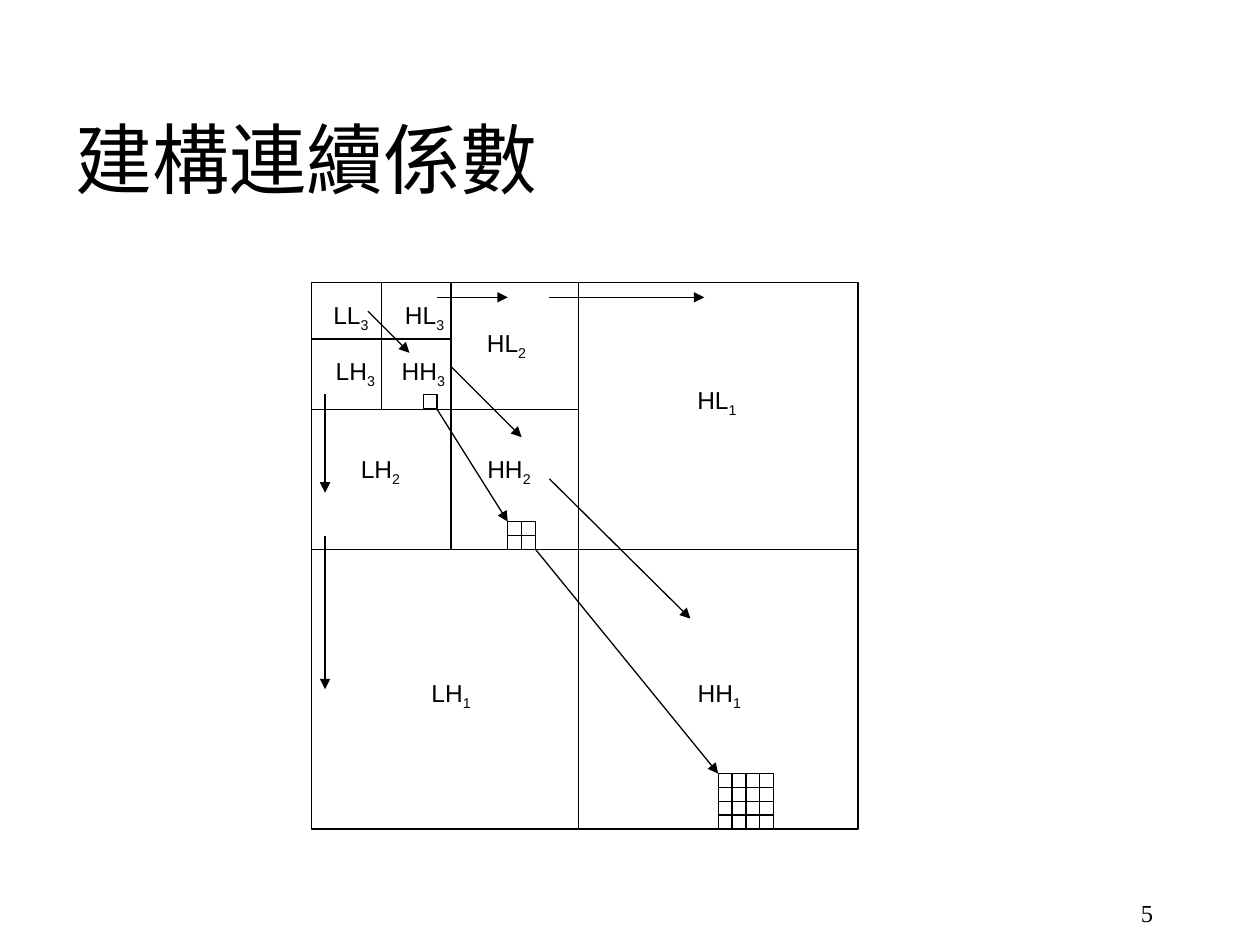
from pptx import Presentation
from pptx.dml.color import RGBColor
from pptx.enum.shapes import MSO_CONNECTOR, MSO_SHAPE
from pptx.enum.text import MSO_ANCHOR, MSO_AUTO_SIZE, PP_ALIGN
from pptx.oxml.ns import qn
from pptx.util import Inches, Pt
from lxml.etree import SubElement

BLACK, WHITE = "000000", "FFFFFF"
LINE_WIDTH = 0.75

# Wavelet square: outer edges and the split of each level
LEFT, TOP, SIZE = 2.47, 2.24, 4.34
# (vertical split x, horizontal split y, right edge, bottom edge)
LEVELS = [
    (4.59, 4.36, LEFT + SIZE, TOP + SIZE),
    (3.58, 3.25, 4.59, 4.36),
    (3.03, 2.69, 3.58, 3.25),
]

# Subband name, level, left, top
SUBBANDS = [
    ("LL", 3, 2.64, 2.38), ("HL", 3, 3.21, 2.38),
    ("LH", 3, 2.66, 2.82), ("HH", 3, 3.18, 2.82),
    ("HL", 2, 3.86, 2.6), ("LH", 2, 2.86, 3.6), ("HH", 2, 3.86, 3.6),
    ("HL", 1, 5.53, 3.05), ("LH", 1, 3.42, 5.38), ("HH", 1, 5.53, 5.38),
]
# Wide enough to keep each subscript on the line of its letters
LABEL_WIDTHS = {"LL": 0.29, "HL": 0.32, "LH": 0.32, "HH": 0.36}

# Coefficient blocks: left, top, cells per side
CELL = 0.11
BLOCKS = [(3.36, 3.13, 1), (4.03, 4.14, 2), (5.7, 6.14, 4)]

# Parent-to-child arrows: from x, from y, to x, to y
ARROWS = [
    (2.92, 2.47, 3.25, 2.8), (3.58, 2.91, 4.14, 3.47), (4.36, 3.8, 5.48, 4.91),
    (3.47, 3.25, 4.03, 4.14), (4.25, 4.36, 5.7, 6.14),
    (2.58, 3.13, 2.58, 3.91), (2.58, 4.25, 2.58, 5.47),
    (3.47, 2.36, 4.03, 2.36), (4.36, 2.36, 5.59, 2.36),
]


def color(hex_string):
    return RGBColor.from_string(hex_string)


def style_font(paragraph, size, name="Arial"):
    paragraph.font.size = Pt(size)
    paragraph.font.name = name
    paragraph.font.color.rgb = color(BLACK)


def add_text(slide, text, left, top, width, height, size, name="Arial",
             align=PP_ALIGN.LEFT, anchor=MSO_ANCHOR.TOP):
    box = slide.shapes.add_textbox(Inches(left), Inches(top), Inches(width), Inches(height))
    frame = box.text_frame
    frame.word_wrap = True
    frame.vertical_anchor = anchor
    paragraph = frame.paragraphs[0]
    paragraph.text = text
    paragraph.alignment = align
    style_font(paragraph, size, name)
    return frame


def add_subband_label(slide, band, level, left, top):
    frame = add_text(slide, band, left, top, LABEL_WIDTHS[band], 0.27, 14,
                     align=PP_ALIGN.CENTER, anchor=MSO_ANCHOR.MIDDLE)
    frame.margin_left = frame.margin_right = frame.margin_top = frame.margin_bottom = 0
    frame.word_wrap = False
    frame.auto_size = MSO_AUTO_SIZE.SHAPE_TO_FIT_TEXT
    subscript = frame.paragraphs[0].add_run()
    subscript.text = str(level)
    subscript.font._element.set("baseline", "-25000")


def add_square(slide, left, top, side, fill=None):
    square = slide.shapes.add_shape(MSO_SHAPE.RECTANGLE, Inches(left), Inches(top),
                                    Inches(side), Inches(side))
    square.shadow.inherit = False
    if fill:
        square.fill.solid()
        square.fill.fore_color.rgb = color(fill)
    else:
        square.fill.background()
    square.line.color.rgb = color(BLACK)
    square.line.width = Pt(LINE_WIDTH)


def add_line(slide, x1, y1, x2, y2, arrow=False):
    line = slide.shapes.add_connector(MSO_CONNECTOR.STRAIGHT, Inches(x1), Inches(y1),
                                      Inches(x2), Inches(y2))
    line.line.color.rgb = color(BLACK)
    line.line.width = Pt(LINE_WIDTH)
    if arrow:
        SubElement(line.line._get_or_add_ln(), qn("a:tailEnd"), type="triangle")
    SubElement(line._element.spPr, qn("a:effectLst"))


def add_block(slide, left, top, count):
    for row in range(count):
        for column in range(count):
            add_square(slide, left + column * CELL, top + row * CELL, CELL)


def main():
    presentation = Presentation()
    presentation.slide_width, presentation.slide_height = Inches(10), Inches(7.5)
    slide = presentation.slides.add_slide(presentation.slide_layouts[6])

    # Title
    add_text(slide, "建構連續係數", 0.5, 0.67, 9, 1.17, 44, anchor=MSO_ANCHOR.MIDDLE)

    # Square divided into subbands
    add_square(slide, LEFT, TOP, SIZE, WHITE)
    for split_x, split_y, right, bottom in LEVELS:
        add_line(slide, split_x, TOP, split_x, bottom)
        add_line(slide, LEFT, split_y, right, split_y)
    for subband in SUBBANDS:
        add_subband_label(slide, *subband)

    # Coefficients and their descendants
    for block in BLOCKS:
        add_block(slide, *block)
    for arrow in ARROWS:
        add_line(slide, *arrow, arrow=True)

    # Slide number
    add_text(slide, "5", 7.17, 7.08, 2.08, 0.5, 14, "Times New Roman", PP_ALIGN.RIGHT)

    presentation.save("out.pptx")


if __name__ == "__main__":
    main()
